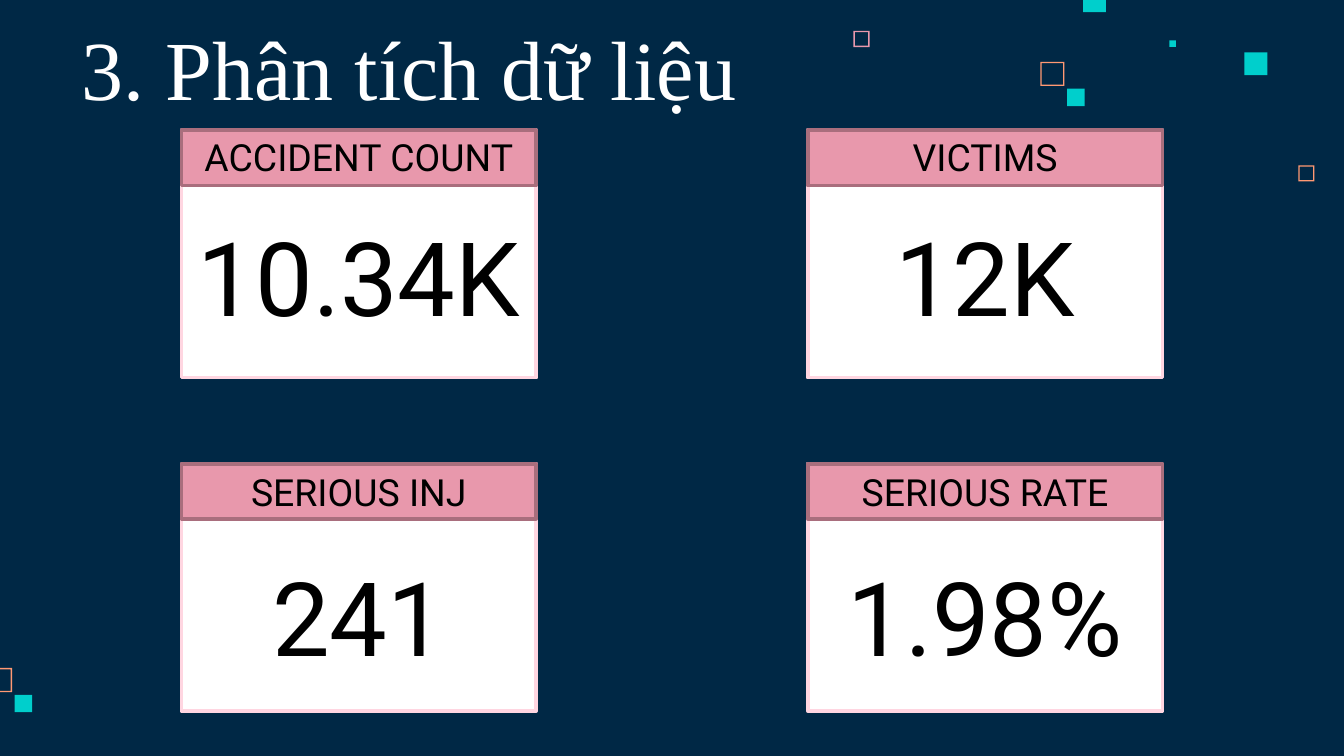
from dataclasses import dataclass

from pptx import Presentation
from pptx.dml.color import RGBColor
from pptx.enum.shapes import MSO_SHAPE
from pptx.enum.text import MSO_ANCHOR, PP_ALIGN
from pptx.util import Inches, Pt

RECTANGLE = MSO_SHAPE.RECTANGLE
LEFT, CENTER = PP_ALIGN.LEFT, PP_ALIGN.CENTER
TOP, BOTTOM = MSO_ANCHOR.TOP, MSO_ANCHOR.BOTTOM
TITLE_ONLY = 5


@dataclass(frozen=True)
class Theme:
    background: str = "002845"
    teal: str = "00CFCC"
    orange: str = "FF9973"
    pink: str = "E898AC"
    pink_edge: str = "A96E7D"
    card: str = "FFFFFF"
    card_edge: str = "FFD6E1"
    title: str = "FFFFFF"
    ink: str = "000000"
    title_font: str = "Times New Roman"
    body_font: str = "Roboto"
    title_size: int = 45
    label_size: int = 20
    value_size: int = 55
    edge_width: int = 2


@dataclass(frozen=True)
class Square:
    left: float
    top: float
    size: float
    color: str
    hollow: bool = False


@dataclass(frozen=True)
class Card:
    label: str
    value: str
    column: int
    row: int


THEME = Theme()
SLIDE_WIDTH = Inches(10)
SLIDE_HEIGHT = SLIDE_WIDTH * 9 // 16
COLUMN_LEFTS = (1.35, 6.01)
ROW_TOPS = (0.97, 3.45)
LABEL_TOPS = (0.95, 3.44)
VALUE_TOPS = (1.54, 4.07)
CARD_WIDTH, CARD_HEIGHT, HEADER_HEIGHT = 2.64, 1.84, 0.41
LABEL_WIDTH, VALUE_WIDTH = 3.51, 3.07
LABEL_HEIGHTS = (0.67, 0.44)
VALUE_HEIGHT = 1.03
HOLLOW_EDGE = 0.01

SQUARES = (
    Square(9.66, 1.23, 0.12, THEME.orange, hollow=True),
    Square(6.35, 0.23, 0.12, THEME.pink, hollow=True),
    Square(7.74, 0.46, 0.18, THEME.orange, hollow=True),
    Square(8.7, 0.3, 0.05, THEME.teal),
    Square(8.06, -0.08, 0.17, THEME.teal),
    Square(9.26, 0.39, 0.17, THEME.teal),
    Square(7.94, 0.66, 0.13, THEME.teal),
    Square(-0.09, 4.97, 0.18, THEME.orange, hollow=True),
    Square(0.11, 5.17, 0.13, THEME.teal),
)
CARDS = (
    Card("ACCIDENT COUNT", "10.34K", 0, 0),
    Card("SERIOUS INJ", "241", 0, 1),
    Card("VICTIMS", "12K", 1, 0),
    Card("SERIOUS RATE", "1.98%", 1, 1),
)


def paint(shape, fill: str, edge: str | None = None) -> None:
    shape.shadow.inherit = False
    shape.fill.solid()
    shape.fill.fore_color.rgb = RGBColor.from_string(fill)
    if edge is None:
        shape.line.fill.background()
    else:
        shape.line.color.rgb = RGBColor.from_string(edge)
        shape.line.width = Pt(THEME.edge_width)


def add_rectangle(page, left: float, top: float, width: float, height: float,
                  fill: str, edge: str | None = None) -> None:
    box = page.shapes.add_shape(RECTANGLE, Inches(left), Inches(top),
                                Inches(width), Inches(height))
    paint(box, fill, edge)


def corners(left: float, top: float, size: float) -> list[tuple[int, int]]:
    right, bottom = left + size, top + size
    return [(Inches(x), Inches(y)) for x, y in
            ((left, top), (right, top), (right, bottom), (left, bottom))]


def add_square(page, square: Square) -> None:
    """Draw a solid square, or a thin ring made of two nested contours."""
    left, top, size = square.left, square.top, square.size
    if not square.hollow:
        add_rectangle(page, left, top, size, size, square.color)
        return
    outer = corners(left, top, size)
    inner = corners(left + HOLLOW_EDGE, top + HOLLOW_EDGE, size - 2 * HOLLOW_EDGE)[::-1]
    builder = page.shapes.build_freeform(*outer[0])
    builder.add_line_segments(outer[1:], close=True)
    builder.move_to(*inner[0])
    builder.add_line_segments(inner[1:], close=True)
    paint(builder.convert_to_shape(), square.color)


def write(box, text: str, size: int, font: str, color: str,
          align=CENTER, anchor=TOP) -> None:
    frame = box.text_frame
    frame.text = text
    frame.word_wrap = True
    frame.vertical_anchor = anchor
    para = frame.paragraphs[0]
    para.alignment = align
    for span in para.runs:
        span.font.size = Pt(size)
        span.font.name = font
        span.font.color.rgb = RGBColor.from_string(color)


def add_centered_text(page, text: str, center: float, top: float,
                      width: float, height: float, size: int) -> None:
    box = page.shapes.add_textbox(Inches(center - width / 2), Inches(top),
                                  Inches(width), Inches(height))
    write(box, text, size, THEME.body_font, THEME.ink)


def add_card(page, card: Card) -> None:
    left, top = COLUMN_LEFTS[card.column], ROW_TOPS[card.row]
    center = left + CARD_WIDTH / 2
    add_rectangle(page, left, top, CARD_WIDTH, CARD_HEIGHT, THEME.card, THEME.card_edge)
    add_rectangle(page, left, top, CARD_WIDTH, HEADER_HEIGHT, THEME.pink, THEME.pink_edge)
    add_centered_text(page, card.label, center, LABEL_TOPS[card.row],
                      LABEL_WIDTH, LABEL_HEIGHTS[card.row], THEME.label_size)
    add_centered_text(page, card.value, center, VALUE_TOPS[card.row],
                      VALUE_WIDTH, VALUE_HEIGHT, THEME.value_size)


def set_title(page, text: str) -> None:
    title = page.shapes.title
    title.left, title.top = Inches(0.51), Inches(0.34)
    title.width, title.height = Inches(5.35), Inches(0.63)
    frame = title.text_frame
    frame.margin_left = frame.margin_right = Inches(0.1)
    frame.margin_top = frame.margin_bottom = Inches(0.1)
    write(title, text, THEME.title_size, THEME.title_font, THEME.title, LEFT, BOTTOM)


def main() -> None:
    deck = Presentation()
    deck.slide_width, deck.slide_height = SLIDE_WIDTH, SLIDE_HEIGHT
    page = deck.slides.add_slide(deck.slide_layouts[TITLE_ONLY])
    page.background.fill.solid()
    page.background.fill.fore_color.rgb = RGBColor.from_string(THEME.background)
    set_title(page, "3. Phân tích dữ liệu")
    for square in SQUARES:
        add_square(page, square)
    for card in CARDS:
        add_card(page, card)
    deck.save("out.pptx")


if __name__ == "__main__":
    main()
